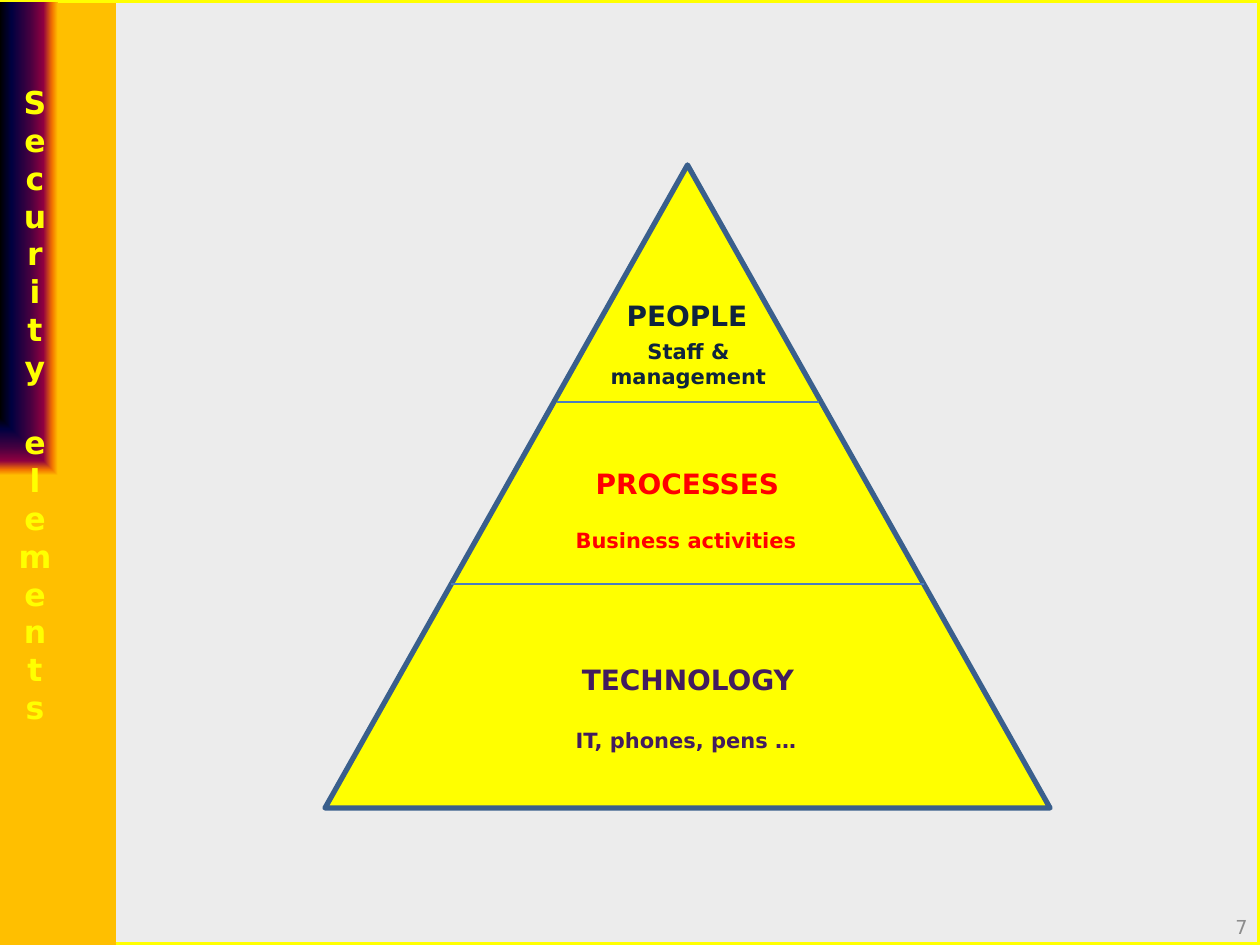
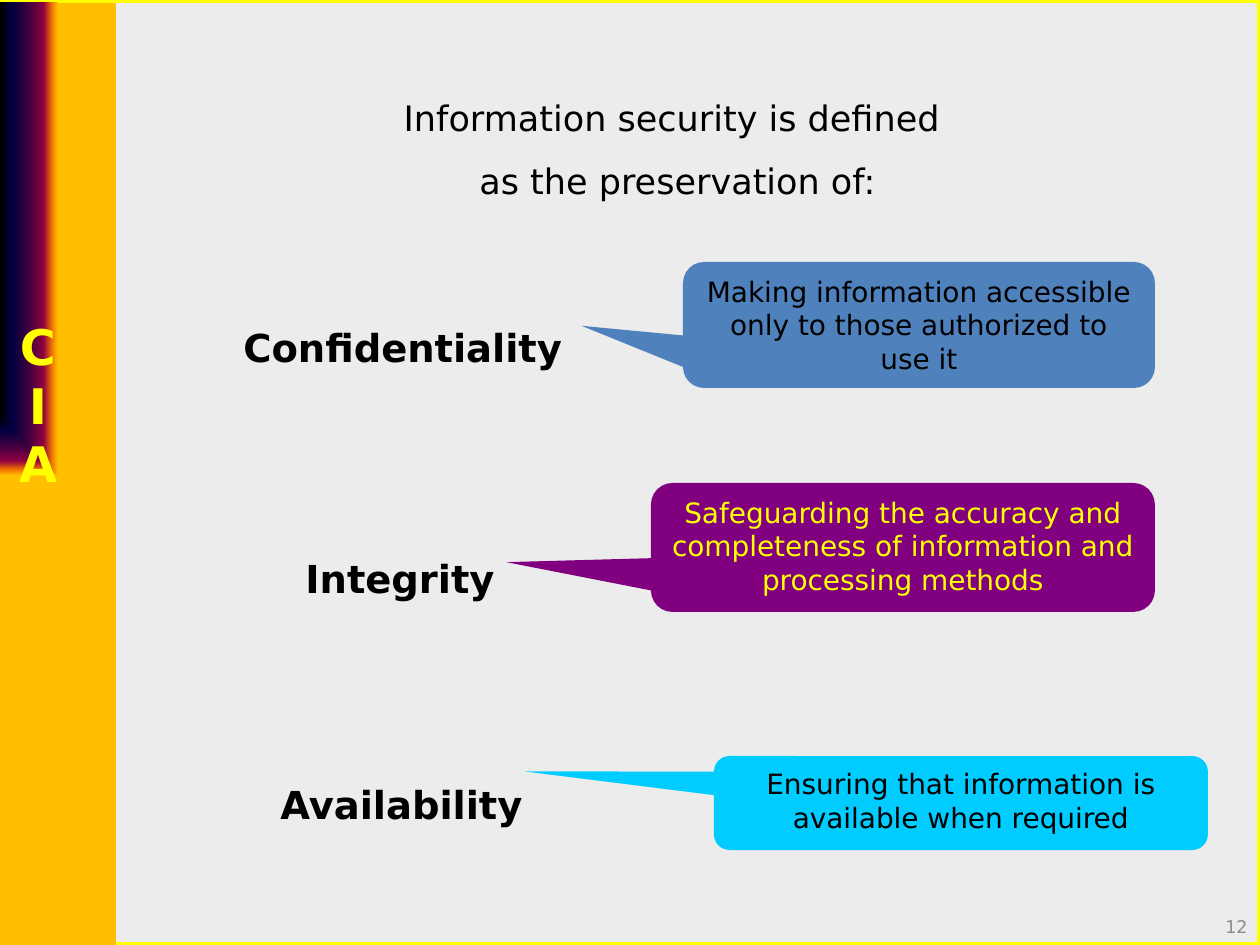
from dataclasses import dataclass

from lxml import etree
from pptx import Presentation
from pptx import util as u
from pptx.dml.color import RGBColor
from pptx.enum import shapes, text
from pptx.oxml import parse_xml
from pptx.oxml.ns import nsdecls, qn

EMU_PER_PX = 914400 / 126
PAGE_WIDTH, PAGE_HEIGHT = 1260, 945
TITLE_ONLY = 5


@dataclass(frozen=True)
class Theme:
    font: str = "DejaVu Sans"
    backdrop: str = "D9D9D9"
    veil: str = "F2F2F2"
    yellow: str = "FFFF00"
    black: str = "000000"
    red: str = "FF0000"
    navy: str = "0F243E"
    plum: str = "421C5E"
    outline: str = "3A5F8C"
    divider: str = "4B7EBC"
    blue: str = "4F81BD"
    purple: str = "800080"
    cyan: str = "00CCFF"
    grey: str = "8C8C8C"
    band_stops: tuple = ((0, "000000"), (20, "000040"), (50, "400040"),
                         (75, "8F0040"), (90, "F27300"), (100, "FFBF00"))
    short_title_size: int = 28
    long_title_size: int = 18
    label_size: int = 22
    lead_size: int = 20
    body_size: int = 16
    detail_size: int = 12


THEME = Theme()


def px(*lengths):
    return [u.Emu(round(length * EMU_PER_PX)) for length in lengths]


def rgb(color):
    return RGBColor.from_string(color)


def set_alpha(element, percent):
    """Make the first colour found in the element partly transparent."""
    color = next(element.iter(qn("a:srgbClr")))
    etree.SubElement(color, qn("a:alpha")).set("val", str(percent * 1000))


def write(shape, words, size, color, bold=False, align=text.PP_ALIGN.CENTER,
          anchor=text.MSO_ANCHOR.TOP, wrap=True, spacing=None):
    frame = shape.text_frame
    frame.text = words
    frame.word_wrap = wrap
    frame.auto_size = text.MSO_AUTO_SIZE.NONE
    frame.vertical_anchor = anchor
    para = frame.paragraphs[0]
    para.alignment = align
    if spacing:
        para.line_spacing = spacing
        para.space_before = u.Pt(size * 0.2)
    for span in para.runs:
        span.font.name = THEME.font
        span.font.size = u.Pt(size)
        span.font.bold = bold
        span.font.color.rgb = rgb(color)


def add_text(page, at, words, size, color, **style):
    write(page.shapes.add_textbox(*px(*at)), words, size, color, **style)


def add_shape(page, kind, at, fill, line=None, weight=0):
    shape = page.shapes.add_shape(kind, *px(*at))
    shape.shadow.inherit = False
    shape.fill.solid()
    shape.fill.fore_color.rgb = rgb(fill)
    if line:
        shape.line.color.rgb = rgb(line)
        shape.line.width = u.Pt(weight)
    else:
        shape.line.fill.background()
    return shape


def add_band(page):
    """Side band whose gradient spreads from its top left corner."""
    band = add_shape(page, shapes.MSO_SHAPE.RECTANGLE, (0, 3, 116, PAGE_HEIGHT),
                     THEME.black)
    stops = "".join(
        f'<a:gs pos="{place * 1000}"><a:srgbClr val="{color}"/></a:gs>'
        for place, color in THEME.band_stops)
    gradient = parse_xml(
        f'<a:gradFill {nsdecls("a")} rotWithShape="1"><a:gsLst>{stops}</a:gsLst>'
        '<a:path path="rect"><a:fillToRect r="100000" b="100000"/></a:path>'
        '</a:gradFill>')
    solid = band.element.spPr.find(qn("a:solidFill"))
    solid.getparent().replace(solid, gradient)


def add_title(page, words, left, width, size):
    """Stack the title's letters, one a line, in front of the side band."""
    title = page.shapes.title
    page.shapes.element.append(title.element)
    title.left, title.top, title.width, title.height = px(left, 0, width, 809)
    write(title, "\v".join(words), size, THEME.yellow, bold=True,
          anchor=text.MSO_ANCHOR.MIDDLE)


def add_page(deck, title, left, width, title_size, number, number_size):
    page = deck.slides.add_slide(deck.slide_layouts[TITLE_ONLY])
    page.background.fill.solid()
    page.background.fill.fore_color.rgb = rgb(THEME.backdrop)
    set_alpha(page.element, 50)
    frame = add_shape(page, shapes.MSO_SHAPE.RECTANGLE,
                      (0, 0, PAGE_WIDTH, PAGE_HEIGHT),
                      THEME.veil, THEME.yellow, 3.25)
    set_alpha(frame.element, 20)
    add_band(page)
    add_title(page, title, left, width, title_size)
    add_text(page, (966, 902, 294, 50), number, number_size, THEME.grey,
             align=text.PP_ALIGN.RIGHT, anchor=text.MSO_ANCHOR.MIDDLE)
    return page


def add_divider(page, left, right, y):
    line = page.shapes.add_connector(shapes.MSO_CONNECTOR.STRAIGHT,
                                     *px(left, y, right, y))
    line.line.color.rgb = rgb(THEME.divider)
    line.line.width = u.Pt(1.5)
    etree.SubElement(line.element.spPr, qn("a:effectLst"))


def add_tier(page, color, name, name_at, detail, detail_at):
    add_text(page, name_at, name, THEME.body_size, color, bold=True)
    add_text(page, detail_at, detail, THEME.detail_size, color, bold=True)


def add_callout(page, at, tip, fill, color, words):
    callout = add_shape(page, shapes.MSO_SHAPE.ROUNDED_RECTANGULAR_CALLOUT,
                        at, fill)
    callout.adjustments[0], callout.adjustments[1] = tip
    write(callout, words, THEME.body_size, color)


def build_pyramid(deck):
    page = add_page(deck, "Security elements", 0, 70, THEME.long_title_size,
                    "7", 11)
    add_shape(page, shapes.MSO_SHAPE.ISOSCELES_TRIANGLE, (325, 165, 725, 643),
              THEME.yellow, THEME.outline, 3)
    add_divider(page, 557, 819, 402)
    add_divider(page, 451, 924, 584)
    add_tier(page, THEME.navy, "PEOPLE", (607, 292, 160, 47),
             "Staff & management", (557, 332, 263, 63))
    add_tier(page, THEME.red, "PROCESSES", (525, 460, 325, 47),
             "Business activities", (490, 521, 392, 38))
    add_tier(page, THEME.plum, "TECHNOLOGY", (420, 656, 536, 47),
             "IT, phones, pens …", (546, 721, 280, 38))


def build_definition(deck):
    page = add_page(deck, "CIA", -10, 96, THEME.short_title_size, "12", 10)
    add_text(page, (263, 69, 829, 140),
             "Information security is defined \vas the preservation of:",
             THEME.lead_size, THEME.black, spacing=1.5)
    goals = (
        ("Confidentiality", (231, 221, 345, 130),
         (683, 262, 472, 126), (-0.715, 0.007), THEME.blue, THEME.black,
         "Making information accessible only to those authorized to use it"),
        ("Integrity", (293, 452, 220, 130),
         (651, 483, 504, 129), (-0.787, 0.114), THEME.purple, THEME.yellow,
         "Safeguarding the accuracy and completeness of information "
         "and processing methods"),
        ("Availability", (268, 678, 270, 130),
         (714, 756, 494, 94), (-0.884, -0.336), THEME.cyan, THEME.black,
         "Ensuring that information is available when required"),
    )
    for name, name_at, *callout in goals:
        add_text(page, name_at, name, THEME.label_size, THEME.black, bold=True,
                 align=text.PP_ALIGN.LEFT, wrap=False, spacing=3.1)
        add_callout(page, *callout)


def main():
    deck = Presentation()
    deck.slide_width, deck.slide_height = px(PAGE_WIDTH, PAGE_HEIGHT)
    build_pyramid(deck)
    build_definition(deck)
    deck.save("out.pptx")


if __name__ == "__main__":
    main()
